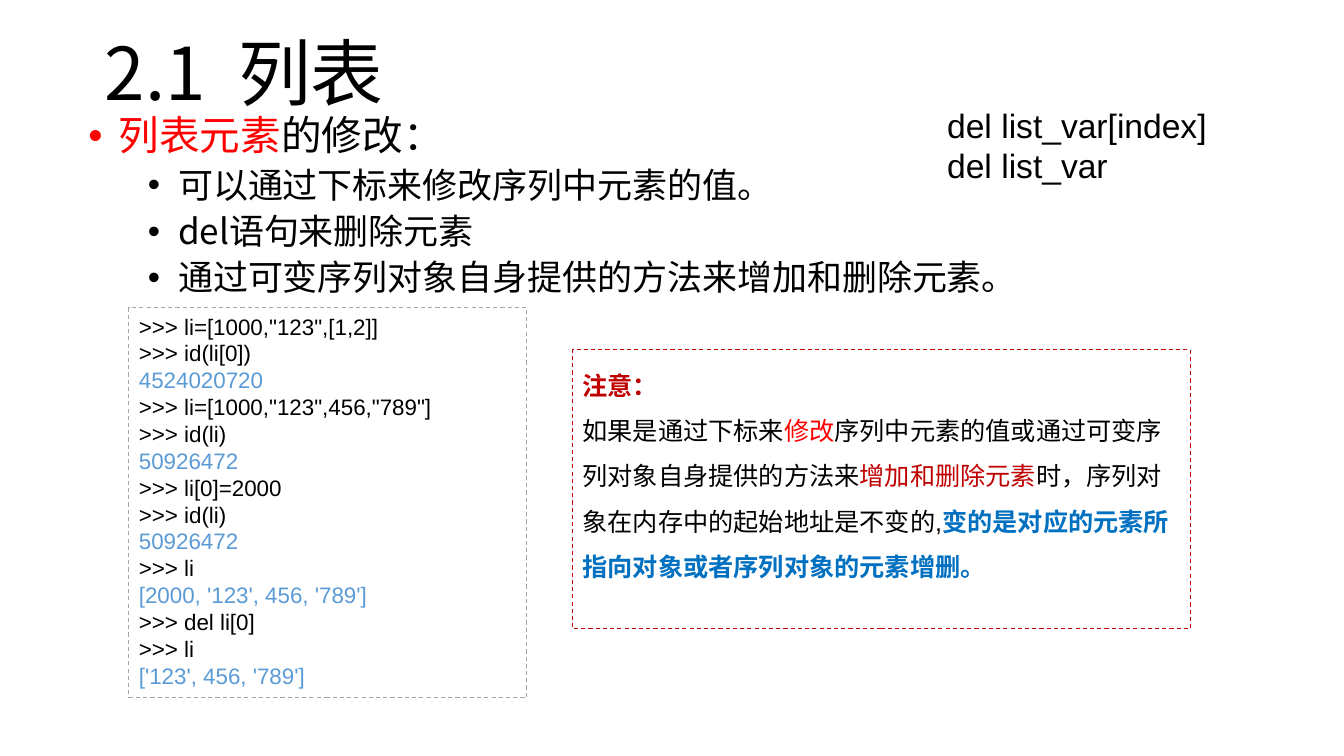
from dataclasses import dataclass

from lxml.etree import SubElement
from pptx import Presentation
from pptx.dml.color import RGBColor
from pptx.enum.dml import MSO_LINE
from pptx.enum.shapes import MSO_SHAPE
from pptx.enum.text import MSO_ANCHOR, PP_ALIGN
from pptx.oxml.ns import qn
from pptx.slide import Slide
from pptx.util import Cm, Pt

CJK = "Noto Sans CJK SC"
BLACK, RED, DARK_RED = "000000", "FF0000", "C00000"
OUTPUT_BLUE, EMPHASIS_BLUE, GREY, WHITE = "5B9BD5", "0070C0", "A6A6A6", "FFFFFF"


@dataclass
class Span:
    text: str
    color: str = BLACK
    bold: bool = False


@dataclass
class Line:
    spans: list[Span]
    size: float
    spacing: float = 1.0
    before: float = 0
    bullet_margin: float = 0


@dataclass
class Block:
    left: float
    top: float
    width: float
    height: float
    lines: list[Line]
    latin: str = "Arial"
    border: str = ""
    fill: str = ""
    anchor: MSO_ANCHOR = MSO_ANCHOR.MIDDLE
    inset_x: float = 0.25
    inset_y: float = 0.13


def rgb(color: str) -> RGBColor:
    return RGBColor.from_string(color)


def write_line(paragraph, line: Line, latin: str) -> None:
    paragraph.alignment = PP_ALIGN.LEFT
    paragraph.line_spacing = line.spacing
    paragraph.space_before = Pt(line.before)
    if line.bullet_margin:
        properties = paragraph._p.get_or_add_pPr()
        properties.set("marL", str(Cm(line.bullet_margin)))
        properties.set("indent", str(Cm(-0.76)))
        SubElement(properties, qn("a:buFont"), typeface="Arial")
        SubElement(properties, qn("a:buChar"), char="•")
    for span in line.spans:
        run = paragraph.add_run()
        run.text = span.text
        run.font.size = Pt(line.size)
        run.font.bold = span.bold
        run.font.color.rgb = rgb(span.color)
        run.font.name = latin
        SubElement(run._r.get_or_add_rPr(), qn("a:ea"), typeface=CJK)


def draw_block(slide: Slide, block: Block) -> None:
    area = [Cm(v) for v in (block.left, block.top, block.width, block.height)]
    if block.border or block.fill:
        shape = slide.shapes.add_shape(MSO_SHAPE.RECTANGLE, *area)
        shape.shadow.inherit = False
        shape.fill.background()
        shape.line.fill.background()
    else:
        shape = slide.shapes.add_textbox(*area)
    if block.fill:
        shape.fill.solid()
        shape.fill.fore_color.rgb = rgb(block.fill)
    if block.border:
        shape.line.color.rgb = rgb(block.border)
        shape.line.width = Pt(0.75)
        shape.line.dash_style = MSO_LINE.DASH
    frame = shape.text_frame
    frame.word_wrap = True
    frame.vertical_anchor = block.anchor
    frame.margin_left = frame.margin_right = Cm(block.inset_x)
    frame.margin_top = frame.margin_bottom = Cm(block.inset_y)
    for index, line in enumerate(block.lines):
        paragraph = frame.add_paragraph() if index else frame.paragraphs[0]
        write_line(paragraph, line, block.latin)


title = Block(2.34, 0.1, 29.21, 3.68, [Line([Span("2.1  列表")], 52, 0.9)],
              latin=CJK, inset_x=0.3, inset_y=0.15)

ways_to_modify = [
    "可以通过下标来修改序列中元素的值。",
    "del语句来删除元素",
    "通过可变序列对象自身提供的方法来增加和删除元素。",
]
outline = Block(
    1.93, 2.77, 29.21, 12.09,
    [Line([Span("列表元素", RED), Span("的修改：")], 29, 0.9, 11.9, 0.76)]
    + [Line([Span(way)], 25, 0.9, 6, 2.26) for way in ways_to_modify],
    latin=CJK, anchor=MSO_ANCHOR.TOP, inset_x=0.3, inset_y=0.15,
)

session = """>>> li=[1000,"123",[1,2]]
>>> id(li[0])
4524020720
>>> li=[1000,"123",456,"789"]
>>> id(li)
50926472
>>> li[0]=2000
>>> id(li)
50926472
>>> li
[2000, '123', 456, '789']
>>> del li[0]
>>> li
['123', 456, '789']""".splitlines()
console = Block(
    3.25, 7.75, 10.03, 9.83,
    [Line([Span(entry, BLACK if entry.startswith(">>>") else OUTPUT_BLUE)], 16)
     for entry in session],
    border=GREY, anchor=MSO_ANCHOR.TOP,
)

explanation = [
    Span("如果是通过下标来"),
    Span("修改", RED),
    Span("序列中元素的值或通过可变序列对象自身提供的方法来"),
    Span("增加和删除元素", DARK_RED),
    Span("时，序列对象在内存中的起始地址是不变的,"),
    Span("变的是对应的元素所指向对象或者序列对象的元素增删。", EMPHASIS_BLUE, True),
]
caution = Block(
    14.43, 8.81, 15.57, 7.04,
    [Line([Span("注意：", DARK_RED, True)], 18, 1.5), Line(explanation, 18, 1.5)],
    border=DARK_RED, anchor=MSO_ANCHOR.TOP,
)

del_syntax = Block(
    23.62, 2.51, 7.52, 2.31,
    [Line([Span(form)], 24) for form in ("del list_var[index]", "del list_var")],
    fill=WHITE, anchor=MSO_ANCHOR.TOP,
)

presentation = Presentation()
presentation.slide_width, presentation.slide_height = Cm(33.87), Cm(19.05)
list_slide = presentation.slides.add_slide(presentation.slide_layouts[6])
for part in (title, outline, console, caution, del_syntax):
    draw_block(list_slide, part)
presentation.save("out.pptx")
